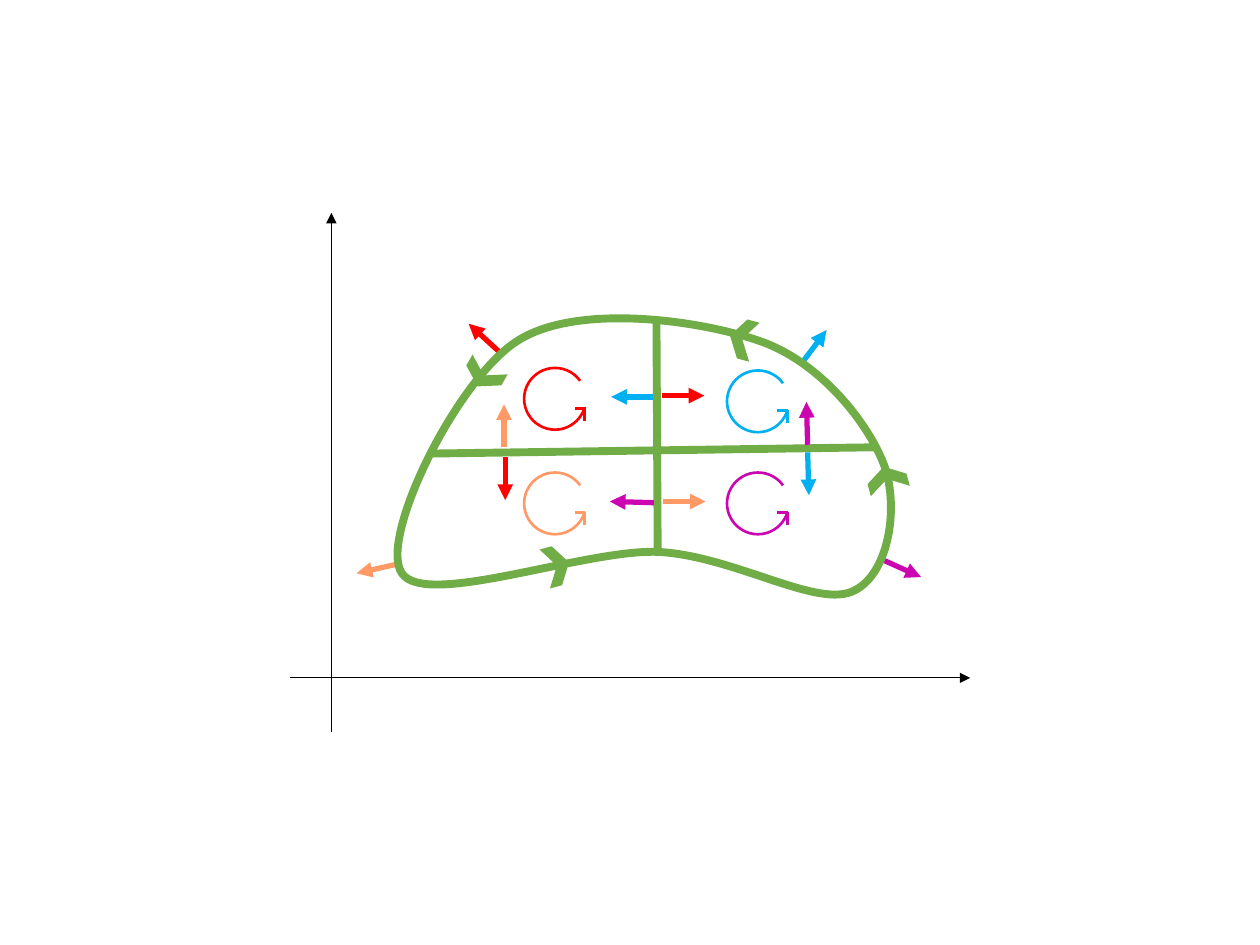
import pptx
import pptx.dml.color
import pptx.enum.shapes
import pptx.oxml.ns
import pptx.util
from pptx.util import Inches

GREEN, RED, BLUE, ORANGE, PURPLE = "70AD47", "FF0000", "00B0F0", "FF9966", "CB05AF"
SHAPE = pptx.enum.shapes.MSO_SHAPE
OUTLINE_START = (0.94, 0.18)
OUTLINE_CURVES = [
    [(0.46, 0.49), (-0.16, 1.75), (0.03, 2.02)],
    [(0.22, 2.3), (1.47, 1.83), (2.06, 1.85)],
    [(2.65, 1.88), (3.29, 2.28), (3.59, 2.17)],
    [(3.89, 2.06), (3.98, 1.51), (3.86, 1.17)],
    [(3.74, 0.84), (3.36, 0.35), (2.88, 0.18)],
    [(2.4, 0.01), (1.41, -0.13), OUTLINE_START],
]
DIRECTIONS = [(0.58, 0.29, 119.5), (1.16, 1.8, 345), (3.78, 1.11, 255), (2.63, 0, 195)]
DIVIDERS = [((2.05, 0), (2.06, 1.85)), ((3.78, 1.02), (0.27, 1.07))]
CELLS = [
    (RED, (1, 0.39), [((0.8, 0.26), (0.56, 0.04)), ((0.85, 1.1), (0.85, 1.44)),
                      ((2.09, 0.61), (2.43, 0.61))]),
    (BLUE, (2.61, 0.41), [((2.02, 0.62), (1.69, 0.62)), ((3.22, 0.33), (3.4, 0.09)),
                          ((3.25, 1.06), (3.26, 1.4))]),
    (ORANGE, (1, 1.22), [((0.84, 1.02), (0.84, 0.68)), ((-0.02, 1.95), (-0.33, 2.02)),
                         ((2.1, 1.45), (2.44, 1.45))]),
    (PURPLE, (2.61, 1.22), [((2.03, 1.46), (1.68, 1.45)), ((3.25, 1), (3.24, 0.66)),
                            ((3.86, 1.92), (4.15, 2.05))]),
]


def rgb(color):
    """Return the colour for a hex string."""
    return pptx.dml.color.RGBColor.from_string(color)


def add_child(parent, tag, **attributes):
    """Append a DrawingML element to a parent and return it."""
    child = parent.makeelement(pptx.oxml.ns.qn(tag), attributes)
    parent.append(child)
    return child


def set_line(sp, color, width):
    """Give a shape or connector a solid line."""
    sp.line.color.rgb = rgb(color)
    sp.line.width = pptx.util.Pt(width)


def add_line(shapes, origin, start, end, color, width, arrow=False):
    """Draw a straight connector between two points relative to an origin."""
    left, top = origin
    sp = shapes.add_connector(
        pptx.enum.shapes.MSO_CONNECTOR.STRAIGHT,
        Inches(left + start[0]), Inches(top + start[1]),
        Inches(left + end[0]), Inches(top + end[1]))
    set_line(sp, color, width)
    if arrow:
        add_child(sp.line._get_or_add_ln(), "a:tailEnd", type="triangle")
    add_child(sp._element.spPr, "a:effectLst")


def add_axes(slide, left, top, width, height):
    """Draw the two coordinate axes within a box."""
    for start, end in [((0.33, height), (0.33, 0)), ((0, 3.69), (width, 3.69))]:
        add_line(slide.shapes, (left, top), start, end, "000000", 0.5, arrow=True)


def add_circulation(slide, left, top, size, color):
    """Draw a grouped circular arrow within a square box."""
    shapes = slide.shapes.add_group_shape().shapes
    arc = shapes.add_shape(SHAPE.ARC, Inches(left), Inches(top), Inches(size), Inches(size))
    arc.adjustments[0], arc.adjustments[1] = 10.423, 194.615
    arc.shadow.inherit = False
    arc.fill.background()
    set_line(arc, color, 1.5)
    for start, end in [((0.48, 0.32), (0.4, 0.32)), ((0.48, 0.31), (0.48, 0.42))]:
        add_line(shapes, (left, top), start, end, color, 1.5)


def add_outline(slide, left, top, width, height):
    """Draw the closed curved boundary within a box."""
    builder = slide.shapes.build_freeform(Inches(left), Inches(top))
    builder.add_line_segments([(Inches(left + width), Inches(top + height))])
    sp = builder.convert_to_shape()
    path = sp._element.xpath(".//a:path")[0]
    for segment in list(path):
        path.remove(segment)
    segments = [("a:moveTo", [OUTLINE_START])]
    segments += [("a:cubicBezTo", curve) for curve in OUTLINE_CURVES]
    for tag, points in segments:
        segment = add_child(path, tag)
        for x, y in points:
            add_child(segment, "a:pt", x=str(Inches(x)), y=str(Inches(y)))
    add_child(path, "a:close")
    sp.shadow.inherit = False
    sp.fill.background()
    set_line(sp, GREEN, 4.5)


def add_region(slide, left, top, width, height):
    """Draw the divided region with its circulations and outward arrows."""
    for x, y, rotation in DIRECTIONS:
        sp = slide.shapes.add_shape(
            SHAPE.CHEVRON, Inches(left + x), Inches(top + y), Inches(0.2), Inches(0.32))
        sp.rotation = rotation
        sp.shadow.inherit = False
        sp.fill.solid()
        sp.fill.fore_color.rgb = rgb(GREEN)
        sp.line.fill.background()
    for start, end in DIVIDERS:
        add_line(slide.shapes, (left, top), start, end, GREEN, 4.5)
    for color, (x, y), arrows in CELLS:
        add_circulation(slide, left + x, top + y, 0.49, color)
        for start, end in arrows:
            add_line(slide.shapes, (left, top), start, end, color, 3, arrow=True)
    add_outline(slide, left, top, width, height)


def main():
    """Build the slide and save it."""
    prs = pptx.Presentation()
    prs.slide_width, prs.slide_height = Inches(10), Inches(7.5)
    slide = prs.slides.add_slide(prs.slide_layouts[6])
    add_axes(slide, 2.3, 1.69, 5.4, 4.12)
    add_region(slide, 3.16, 2.53, 3.91, 2.19)
    prs.save("out.pptx")


if __name__ == "__main__":
    main()
